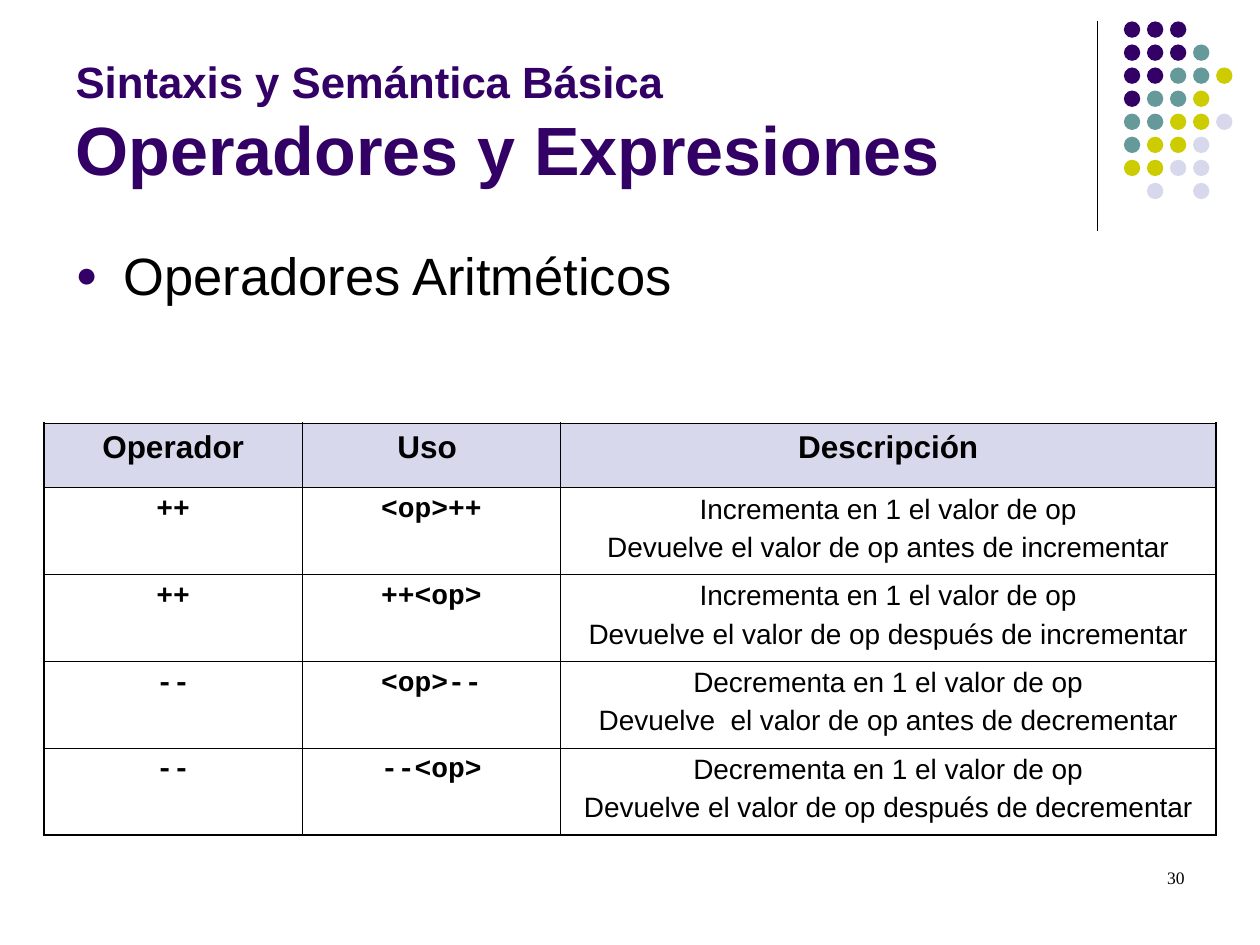
from copy import deepcopy

from lxml.etree import SubElement
from pptx import Presentation
from pptx.dml.color import RGBColor
from pptx.enum.shapes import MSO_CONNECTOR as Connector, MSO_SHAPE as Shape
from pptx.enum.text import MSO_ANCHOR as Anchor, MSO_AUTO_SIZE as AutoSize, PP_ALIGN as Align
from pptx.oxml.ns import qn
from pptx.util import Inches, Pt

PURPLE, TEAL, LIME, LILAC, BLACK = "330066", "669999", "CCCC00", "D8D8EC", "000000"

# Each letter is one dot of the ornament, a space is a gap
DOT_COLORS = {"P": PURPLE, "T": TEAL, "L": LIME, "G": LILAC}
DOT_ROWS = ["PPP", "PPPT", "PPTTL", "PTTL", "TTLLG", "TLLG", "LLGG", " G G"]
DOT_LEFT, DOT_TOP, DOT_STEP, DOT_SIZE = 8.92, 0.17, 0.183, 0.13

HEADERS = ["Operador", "Uso ", "Descripción"]
OPERATORS = [
    ("++", "<op>++", "Incrementa en 1 el valor de op\n"
                     "Devuelve el valor de op antes de incrementar"),
    ("++", "++<op>", "Incrementa en 1 el valor de op\n"
                     "Devuelve el valor de op después de incrementar"),
    ("--", "<op>--", "Decrementa en 1 el valor de op\n"
                     "Devuelve  el valor de op antes de decrementar"),
    ("--", "--<op>", "Decrementa en 1 el valor de op\n"
                     "Devuelve el valor de op después de decrementar"),
]
COLUMN_WIDTHS = [2.05, 2.05, 5.2]
HEADER_HEIGHT, ROW_HEIGHT = 0.51, 0.69
THIN, THICK = 0.45, 1.08


def color(value):
    return RGBColor.from_string(value)


def format_run(span, size, font="Arial", tint=BLACK, bold=False):
    span.font.size, span.font.name, span.font.bold = Pt(size), font, bold
    span.font.color.rgb = color(tint)


def place(box, left, top, width, height):
    box.left, box.top = Inches(left), Inches(top)
    box.width, box.height = Inches(width), Inches(height)


def add_ornament(page):
    line = page.shapes.add_connector(
        Connector.STRAIGHT, Inches(8.71), Inches(0.17), Inches(8.71), Inches(1.83))
    line.line.color.rgb, line.line.width = color(BLACK), Pt(0.75)
    SubElement(line._element.spPr, qn("a:effectLst"))

    group = page.shapes.add_group_shape()
    for row, letters in enumerate(DOT_ROWS):
        for column, letter in enumerate(letters):
            if letter == " ":
                continue
            dot = group.shapes.add_shape(
                Shape.OVAL, Inches(DOT_LEFT + column * DOT_STEP),
                Inches(DOT_TOP + row * DOT_STEP), Inches(DOT_SIZE), Inches(DOT_SIZE))
            dot.shadow.inherit = False
            dot.fill.solid()
            dot.fill.fore_color.rgb = color(DOT_COLORS[letter])
            dot.line.fill.background()


def fill_title(title):
    place(title, 0.5, 0.13, 8.25, 1.42)
    frame = title.text_frame
    frame.text = "Sintaxis y Semántica Básica\vOperadores y Expresiones"
    frame.auto_size, frame.vertical_anchor = AutoSize.NONE, Anchor.BOTTOM
    para = frame.paragraphs[0]
    para.alignment = Align.LEFT
    for span, size in zip(para.runs, (25, 39)):
        format_run(span, size, tint=PURPLE, bold=True)
    # The line break takes the size of the first line
    line_break = para._p.find(qn("a:br"))
    line_break.insert(0, deepcopy(para.runs[0]._r.rPr))


def fill_body(body):
    place(body, 0.5, 1.88, 8.91, 2.18)
    frame = body.text_frame
    frame.text = "Operadores Aritméticos"
    frame.auto_size = AutoSize.NONE
    para = frame.paragraphs[0]
    para.space_before = Pt(0)
    props = para._p.get_or_add_pPr()
    props.set("marL", str(Inches(0.38)))
    props.set("indent", str(Inches(-0.38)))
    SubElement(SubElement(props, qn("a:buClr")), qn("a:srgbClr"), val=PURPLE)
    SubElement(props, qn("a:buSzPct"), val="70000")
    SubElement(props, qn("a:buChar"), char="●")
    format_run(para.runs[0], 30)


def set_borders(cell, widths):
    props = cell._tc.get_or_add_tcPr()
    for side, width in zip("LRTB", widths):
        line = SubElement(props, qn(f"a:ln{side}"), w=str(Pt(width)))
        SubElement(SubElement(line, qn("a:solidFill")), qn("a:srgbClr"), val=BLACK)


def fill_cell(cell, text, size, font, bold):
    cell.text_frame.text = text
    for index, para in enumerate(cell.text_frame.paragraphs):
        para.alignment = Align.CENTER
        para.space_before = Pt(4 if index else 0)
        for span in para.runs:
            format_run(span, size, font, bold=bold)


def add_operator_table(page):
    rows = [HEADERS, *OPERATORS]
    heights = [HEADER_HEIGHT] + [ROW_HEIGHT] * len(OPERATORS)
    table = page.shapes.add_table(
        len(rows), len(HEADERS), Inches(0.35), Inches(3.36),
        Inches(sum(COLUMN_WIDTHS)), Inches(sum(heights))).table
    table.first_row = table.horz_banding = False
    for column, width in zip(table.columns, COLUMN_WIDTHS):
        column.width = Inches(width)
    last_row, last_column = len(rows) - 1, len(HEADERS) - 1
    for r, (texts, height) in enumerate(zip(rows, heights)):
        table.rows[r].height = Inches(height)
        for c, text in enumerate(texts):
            cell = table.cell(r, c)
            outer = (c == 0, c == last_column, r == 0, r == last_row)
            set_borders(cell, [THICK if edge else THIN for edge in outer])
            if r == 0:
                cell.fill.solid()
                cell.fill.fore_color.rgb = color(LILAC)
                fill_cell(cell, text, 18, "Arial", True)
            else:
                cell.fill.background()
                is_code = c < last_column
                fill_cell(cell, text, 16, "Courier New" if is_code else "Arial", is_code)


def add_page_number(page):
    box = page.shapes.add_textbox(Inches(7.17), Inches(6.83), Inches(2.33), Inches(0.5))
    box.text_frame.word_wrap = True
    box.text_frame.text = "30"
    para = box.text_frame.paragraphs[0]
    para.alignment = Align.RIGHT
    format_run(para.runs[0], 10, "Times New Roman")


def main():
    deck = Presentation()
    deck.slide_width, deck.slide_height = Inches(10), Inches(7.5)
    page = deck.slides.add_slide(deck.slide_layouts[1])
    add_ornament(page)
    fill_title(page.shapes.title)
    fill_body(page.placeholders[1])
    add_operator_table(page)
    add_page_number(page)
    deck.save("out.pptx")


if __name__ == "__main__":
    main()
